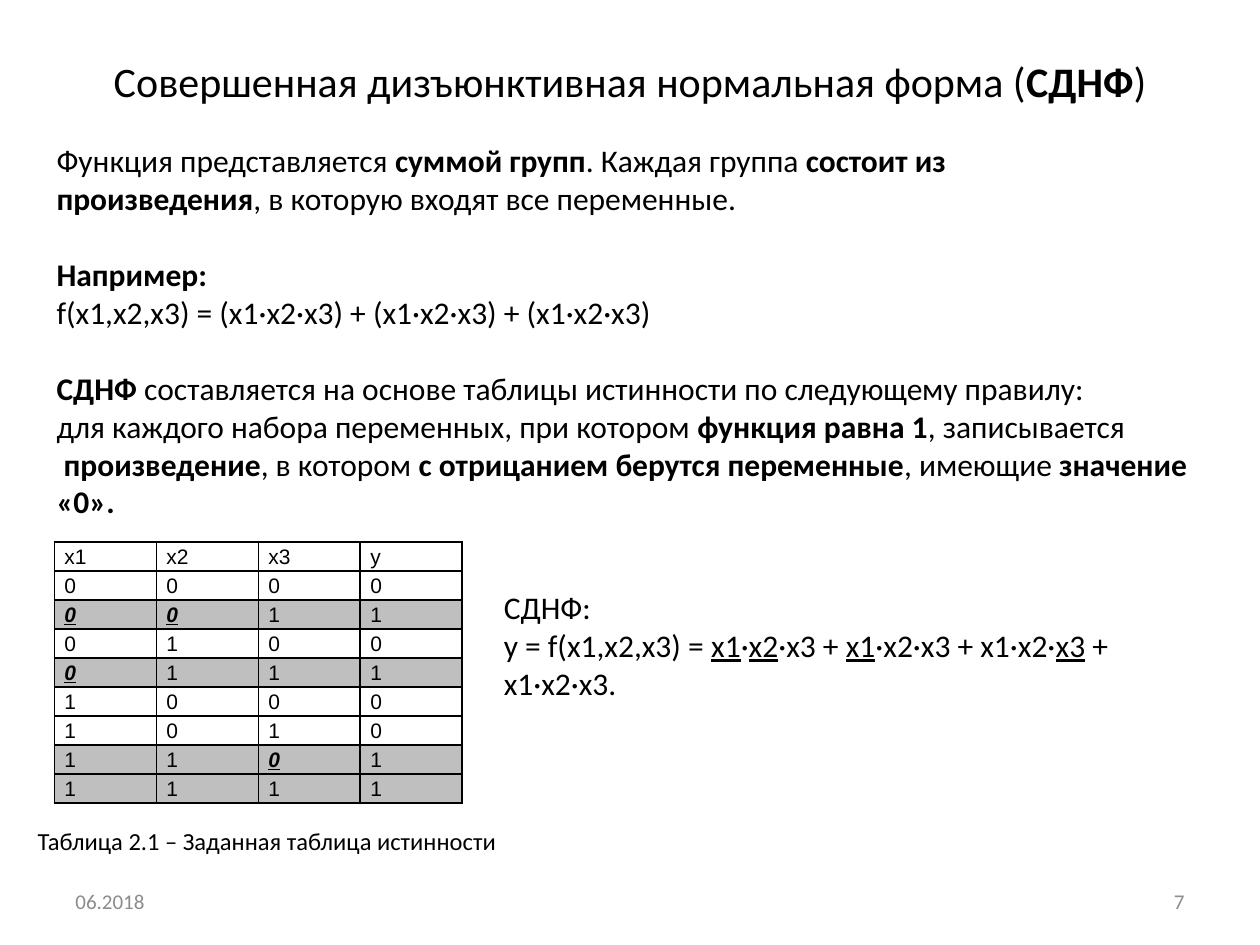
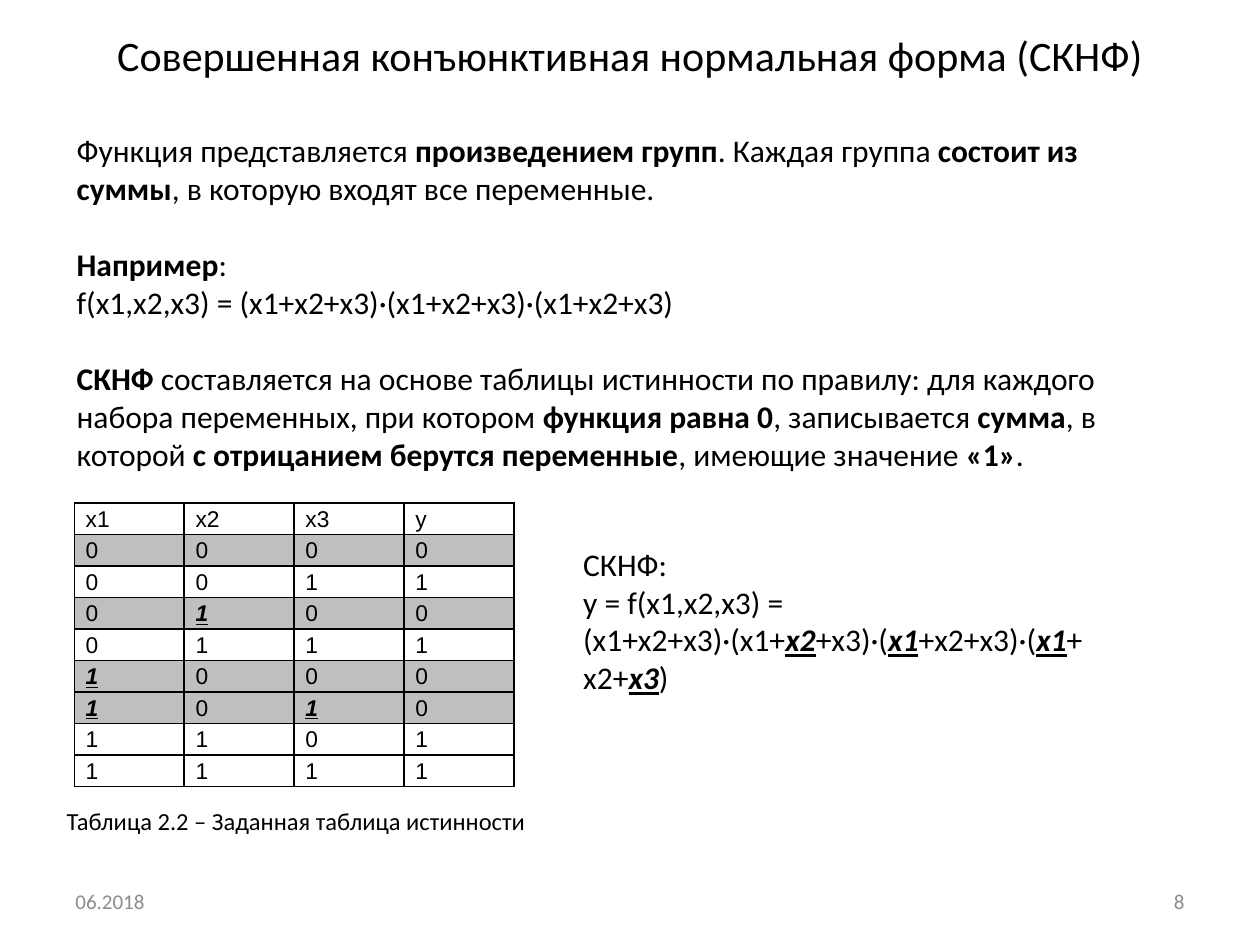
import itertools

import pptx
import pptx.dml.color
import pptx.enum.text
import pptx.oxml
import pptx.oxml.ns
import pptx.util

Pt = pptx.util.Pt
ALIGN = pptx.enum.text.PP_ALIGN
ANCHOR = pptx.enum.text.MSO_ANCHOR
BLACK, GREY, SHADE = "000000", "8C8C8C", "BFBFBF"
BOLD, UNDERLINE, ALL = "b", "u", "biu"
FUNCTION_VALUES = [0, 1, 0, 1, 0, 0, 1, 1]
LINE_HEIGHT = 22


def color(value):
    return pptx.dml.color.RGBColor.from_string(value)


def format_run(run, size, style="", value=BLACK, name="Calibri"):
    font = run.font
    font.name = name
    font.size = Pt(size)
    font.color.rgb = color(value)
    font.bold = "b" in style
    font.italic = "i" in style
    font.underline = "u" in style


def write_line(paragraph, line, size, style, value=BLACK):
    for index, part in enumerate(line.split("*")):
        if part:
            run = paragraph.add_run()
            run.text = part
            format_run(run, size, style if index % 2 else "", value)


def add_title(slide, text, bottom_margin):
    title = slide.shapes.title
    title.left, title.top, title.width, title.height = Pt(36), Pt(9.4), Pt(648), Pt(73.4)
    frame = title.text_frame
    frame.auto_size = pptx.enum.text.MSO_AUTO_SIZE.NONE
    frame.vertical_anchor = ANCHOR.MIDDLE
    frame.margin_bottom = Pt(bottom_margin)
    paragraph = frame.paragraphs[0]
    paragraph.alignment = ALIGN.CENTER
    write_line(paragraph, text, 24, BOLD)


def add_text(slide, box, groups, size=18, style=BOLD, value=BLACK,
             align=ALIGN.LEFT, anchor=ANCHOR.TOP, wrap=True):
    shape = slide.shapes.add_textbox(*map(Pt, box))
    frame = shape.text_frame
    frame.word_wrap = wrap
    frame.vertical_anchor = anchor
    paragraph = None
    for group in groups:
        for index, line in enumerate(group):
            starts_group = paragraph is not None and index == 0
            paragraph = frame.add_paragraph() if paragraph is not None else frame.paragraphs[0]
            paragraph.alignment = align
            if starts_group:
                paragraph.space_before = Pt(LINE_HEIGHT)
            write_line(paragraph, line, size, style, value)


def add_footer(slide, number):
    for left, text, align in ((36, "06.2018", ALIGN.LEFT), (516, str(number), ALIGN.RIGHT)):
        add_text(slide, (left, 500.5, 168, 28.75), [[text]], 12, "", GREY, align, ANCHOR.MIDDLE)


def set_borders(cell):
    properties = cell._tc.get_or_add_tcPr()
    for index, side in enumerate(("lnL", "lnR", "lnT", "lnB")):
        properties.insert(index, pptx.oxml.parse_xml(
            f'<a:{side} {pptx.oxml.ns.nsdecls("a")} w="12700"><a:solidFill>'
            f'<a:srgbClr val="{BLACK}"/></a:solidFill></a:{side}>'))


def format_cell(cell, text, size, inset, shaded, negated):
    cell.text_frame.text = text
    cell.margin_left = cell.margin_right = Pt(inset)
    cell.margin_top = cell.margin_bottom = 0
    if shaded:
        cell.fill.solid()
        cell.fill.fore_color.rgb = color(SHADE)
    else:
        cell.fill.background()
    set_borders(cell)
    paragraph = cell.text_frame.paragraphs[0]
    paragraph.line_spacing = 1.15
    format_run(paragraph.runs[0], size, ALL if negated else "", name="Arial")


def add_truth_table(slide, left, top, column_width, row_height, size, inset, target):
    rows = [("x1", "x2", "x3", "y")]
    rows += [(*inputs, result) for inputs, result in
             zip(itertools.product((0, 1), repeat=3), FUNCTION_VALUES)]
    frame = slide.shapes.add_table(len(rows), 4, Pt(left), Pt(top),
                                   Pt(4 * column_width), Pt(len(rows) * row_height))
    table = frame.table
    table.first_row = table.horz_banding = False
    for column in table.columns:
        column.width = Pt(column_width)
    for row, values in zip(table.rows, rows):
        row.height = Pt(row_height)
        shaded = values[-1] == target
        for index, (cell, item) in enumerate(zip(row.cells, values)):
            negated = shaded and index < 3 and item != target
            format_cell(cell, str(item), size, inset, shaded, negated)


def add_caption(slide, left, top, number):
    add_text(slide, (left, top, 279.4, 24.5),
             [[f"Таблица {number} – Заданная таблица истинности"]], 14, wrap=False)


def add_disjunctive_slide(presentation, layout):
    slide = presentation.slides.add_slide(layout)
    add_title(slide, "Совершенная дизъюнктивная нормальная форма (*СДНФ*)", 3.6)
    add_footer(slide, 7)
    add_truth_table(slide, 31, 309.6, 58.3, 16.4, 12, 5.8, 1)
    add_text(slide, (25.2, 77, 669, 247), [
        ["Функция представляется *суммой групп*. Каждая группа *состоит из*",
         "*произведения*, в которую входят все переменные."],
        ["*Например:*",
         "f(x1,x2,x3) =\u00a0(x1·x2·x3) + (x1·x2·x3) + (x1·x2·x3)"],
        ["*СДНФ* составляется на основе таблицы истинности по следующему правилу:",
         "для каждого набора переменных, при котором *функция равна 1*, записывается",
         " *произведение*, в котором *с отрицанием берутся переменные*, имеющие *значение «0».*"],
    ])
    add_caption(slide, 14.4, 468.7, "2.1")
    add_text(slide, (280.8, 332.6, 360, 72.7), [[
        "СДНФ:",
        "y = f(x1,x2,x3) =\u00a0*x1*·*x2*·x3 +\u00a0*x1*·x2·x3 + x1·x2·*x3*\u00a0+ x1·x2·x3."]],
        style=UNDERLINE)


def add_conjunctive_slide(presentation, layout):
    slide = presentation.slides.add_slide(layout)
    add_title(slide, "Совершенная конъюнктивная нормальная форма (СКНФ)", 32.9)
    add_footer(slide, 8)
    add_text(slide, (36.7, 71.3, 646.6, 247), [
        ["Функция представляется *произведением групп*. Каждая группа *состоит из суммы*, "
         "в которую входят все переменные."],
        ["*Например*:",
         "f(x1,x2,x3) = (x1+x2+x3)·(x1+x2+x3)·(x1+x2+x3)"],
        ["*СКНФ* составляется на основе таблицы истинности по правилу:\u00a0для каждого "
         "набора переменных, при котором *функция равна 0*, записывается *сумма*, "
         "в которой *с отрицанием берутся переменные*, имеющие значение *«1»*."],
    ])
    add_truth_table(slide, 42.5, 287.3, 62.8, 18, 13, 6.5, 0)
    add_caption(slide, 31, 457.2, "2.2")
    add_text(slide, (326.2, 307.4, 300.2, 94.3), [[
        "СКНФ:",
        "y = f(x1,x2,x3) = (x1+x2+x3)·(x1+*x2*+x3)·(*x1*+x2+x3)·(*x1*+x2+*x3*)"]],
        style=ALL, anchor=ANCHOR.MIDDLE)


def main():
    presentation = pptx.Presentation()
    presentation.slide_width, presentation.slide_height = Pt(720), Pt(540)
    layout = presentation.slide_layouts.get_by_name("Title Only")
    add_disjunctive_slide(presentation, layout)
    add_conjunctive_slide(presentation, layout)
    presentation.save("out.pptx")


main()
